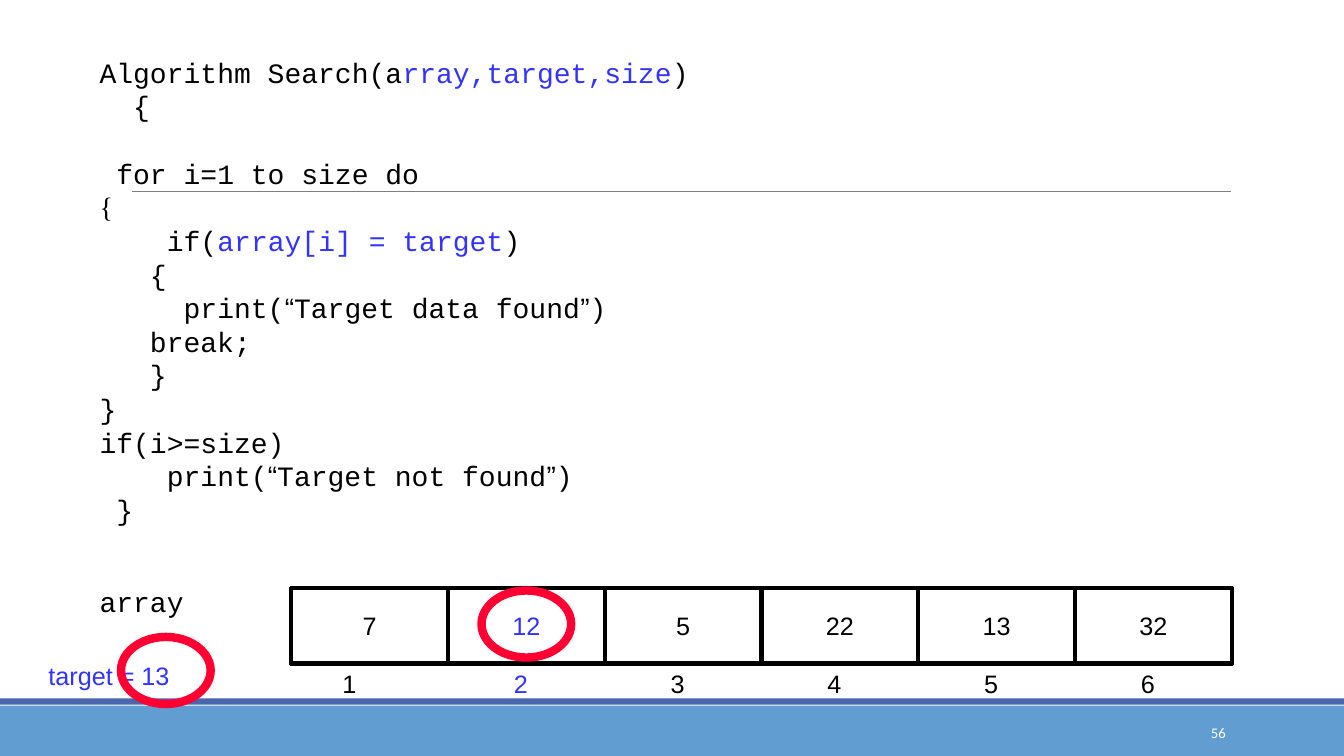
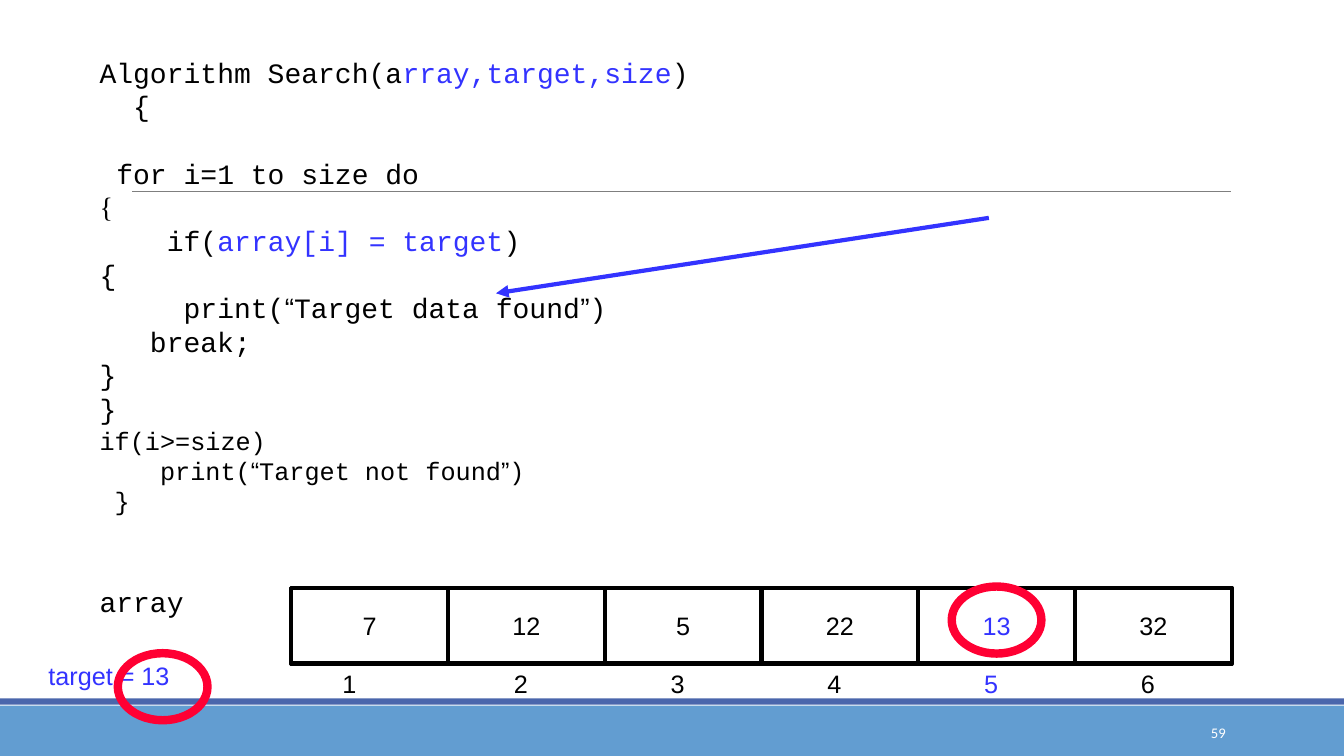
import pptx
import pptx.util
import pptx.dml.color
import pptx.enum.shapes
import pptx.enum.text
import pptx.oxml.ns
import lxml.etree

Cm, Pt = pptx.util.Cm, pptx.util.Pt
SHAPE = pptx.enum.shapes.MSO_SHAPE
ALIGN = pptx.enum.text.PP_ALIGN
ANCHOR = pptx.enum.text.MSO_ANCHOR

BLACK, WHITE, BLUE, RED = "000000", "FFFFFF", "3333FF", "FF0033"
BAND, STRIP, RULE = "629DD1", "4A66AC", "7F7F7F"
MONO, SANS, SERIF, FOOTER = "Courier New", "Arial", "Times New Roman", "Calibri"

VALUES = [7, 12, 5, 22, 13, 32]
TARGET = "target = 13"
CELL_LEFT, CELL_TOP, CELL_W, CELL_H = 7.34, 14.82, 3.95, 1.9
INDEX_OFFSETS = [1.04] + [1.41] * 5
RING_W, RING_H = 2.26, 1.69

SLIDES = [
    {"number": 56, "current": 2, "open": "   {", "close": "\t}", "end_size": 20,
     "target_ring": (3.05, 16.05), "value_ring_top": 14.88, "arrow": None},
    {"number": 59, "current": 5, "open": "{", "close": "}", "end_size": 18,
     "target_ring": (2.97, 16.46), "value_ring_top": 14.78,
     "arrow": (24.92, 5.49, 12.5, 7.39)},
]


def code_lines(open_brace, close_brace, end_size):
    body = [
        ["Algorithm Search(a", ("rray,target,size", MONO, BLUE), ")"],
        ["  {"],
        ["  "],
        [" for i=1 to size do"],
        [("{", SERIF, BLACK)],
        ["    if(", ("array[i] = target", MONO, BLUE), ")"],
        [open_brace],
        ["     print(", ("“", SANS, BLACK), "Target data found", ("”", SANS, BLACK), ")"],
        ["\tbreak;"],
        [close_brace],
        ["}"],
    ]
    end = [
        ["if(i>=size)"],
        ["    print(", ("“", SANS, BLACK), "Target not found", ("”", SANS, BLACK), ")"],
        [" }"],
    ]
    return [(line, 20) for line in body] + [(line, end_size) for line in end]


def rgb(color):
    return pptx.dml.color.RGBColor.from_string(color)


def set_font(font, name, size, color):
    font.name = name
    font.size = Pt(size)
    font.color.rgb = rgb(color)


def add_box(s, kind, left, top, width, height, fill=None, line=None, weight=3):
    sp = s.shapes.add_shape(kind, Cm(left), Cm(top), Cm(width), Cm(height))
    sp.shadow.inherit = False
    if fill:
        sp.fill.solid()
        sp.fill.fore_color.rgb = rgb(fill)
    else:
        sp.fill.background()
    if line:
        sp.line.color.rgb = rgb(line)
        sp.line.width = Pt(weight)
    else:
        sp.line.fill.background()
    return sp


def add_line(s, x1, y1, x2, y2, color, weight, arrow=False):
    line = s.shapes.add_connector(pptx.enum.shapes.MSO_CONNECTOR.STRAIGHT,
                                  Cm(x1), Cm(y1), Cm(x2), Cm(y2))
    line.line.color.rgb = rgb(color)
    line.line.width = Pt(weight)
    qn = pptx.oxml.ns.qn
    if arrow:
        ln = line.line._get_or_add_ln()
        lxml.etree.SubElement(ln, qn("a:tailEnd"), type="triangle")
    lxml.etree.SubElement(line._element.spPr, qn("a:effectLst"))


def write(sp, text, name, size, color, align=ALIGN.LEFT, anchor=ANCHOR.TOP):
    tf = sp.text_frame
    tf.word_wrap = True
    tf.vertical_anchor = anchor
    p = tf.paragraphs[0]
    p.text = text
    p.alignment = align
    set_font(p.font, name, size, color)


def add_text(s, left, top, width, height, *style, **layout):
    sp = s.shapes.add_textbox(Cm(left), Cm(top), Cm(width), Cm(height))
    write(sp, *style, **layout)


def add_code(s, lines):
    tf = s.shapes.add_textbox(Cm(2.26), Cm(1.27), Cm(29.46), Cm(13.2)).text_frame
    tf.word_wrap = True
    for i, (runs, size) in enumerate(lines):
        p = tf.paragraphs[0] if i == 0 else tf.add_paragraph()
        set_font(p.font, MONO, size, BLACK)
        for run in runs:
            r = p.add_run()
            if isinstance(run, str):
                r.text = run
            else:
                r.text, name, color = run
                set_font(r.font, name, size, color)


def add_frame(s, number):
    add_box(s, SHAPE.RECTANGLE, 0, 17.78, 33.87, 1.27, fill=BAND)
    add_box(s, SHAPE.RECTANGLE, 0, 17.6, 33.87, 0.16, fill=STRIP)
    add_line(s, 3.33, 4.83, 31.01, 4.83, RULE, 0.75)
    add_text(s, 27.51, 17.95, 3.63, 1.01, str(number), FOOTER, 10.5, WHITE,
             align=ALIGN.RIGHT, anchor=ANCHOR.MIDDLE)


def add_array(s, current):
    add_text(s, 2.26, 14.6, 2.7, 1.12, "array", MONO, 20, BLACK)
    add_box(s, SHAPE.RECTANGLE, CELL_LEFT, CELL_TOP, CELL_W * len(VALUES), CELL_H, line=BLACK)
    for i, (value, offset) in enumerate(zip(VALUES, INDEX_OFFSETS)):
        left = CELL_LEFT + i * CELL_W
        color = BLUE if i + 1 == current else BLACK
        cell = add_box(s, SHAPE.RECTANGLE, left, CELL_TOP, CELL_W, CELL_H, line=BLACK)
        write(cell, str(value), SANS, 18, color, ALIGN.CENTER, ANCHOR.MIDDLE)
        add_text(s, left + offset, CELL_TOP + CELL_H, 0.9, 1.02, str(i + 1), SANS, 18, color)


def add_rings(s, target_ring, current, value_ring_top):
    value_left = CELL_LEFT + (current - 0.5) * CELL_W - RING_W / 2
    for left, top in [target_ring, (value_left, value_ring_top)]:
        add_box(s, SHAPE.OVAL, left, top, RING_W, RING_H, line=RED, weight=6)


def main():
    prs = pptx.Presentation()
    prs.slide_width, prs.slide_height = Cm(33.87), Cm(19.05)
    for slide in SLIDES:
        s = prs.slides.add_slide(prs.slide_layouts[6])
        add_frame(s, slide["number"])
        add_code(s, code_lines(slide["open"], slide["close"], slide["end_size"]))
        add_array(s, slide["current"])
        add_text(s, 0.97, 16.51, 3.7, 1.02, TARGET, SANS, 18, BLUE)
        add_rings(s, slide["target_ring"], slide["current"], slide["value_ring_top"])
        if slide["arrow"]:
            add_line(s, *slide["arrow"], BLUE, 3, arrow=True)
    prs.save("out.pptx")


if __name__ == "__main__":
    main()
